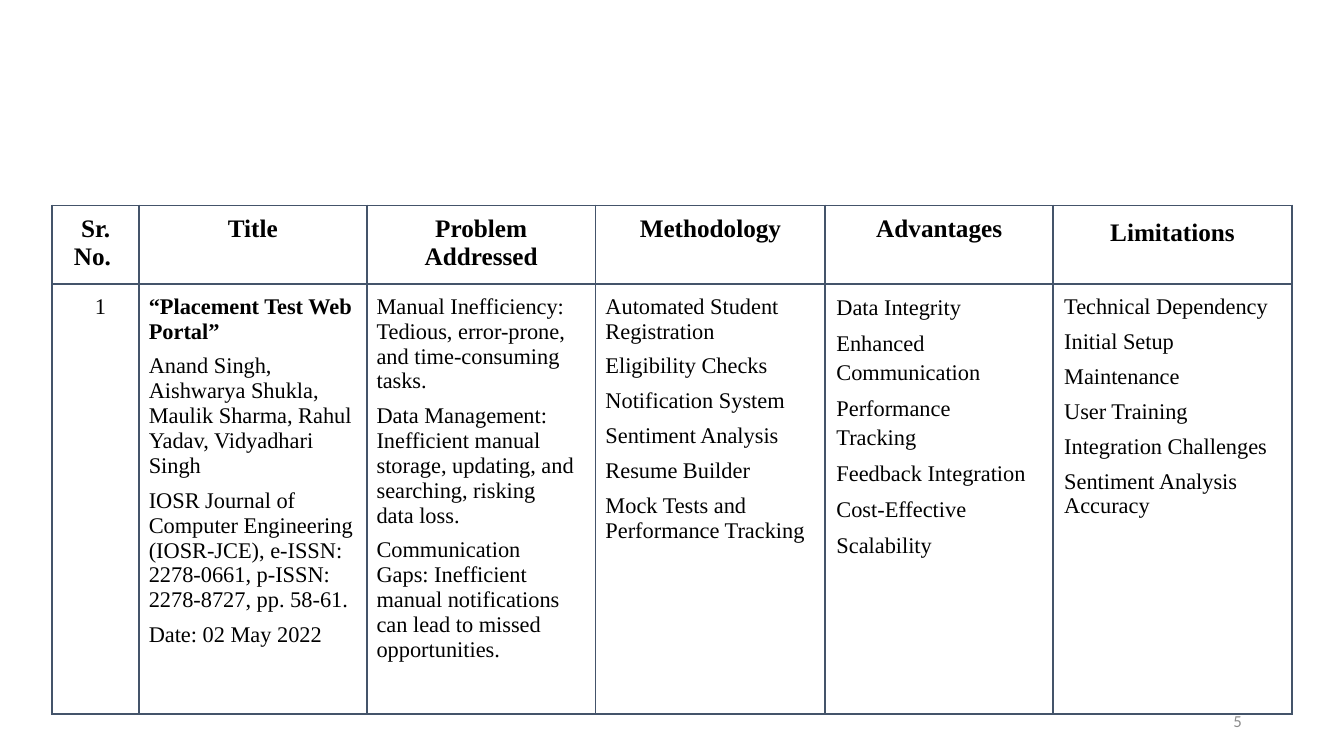
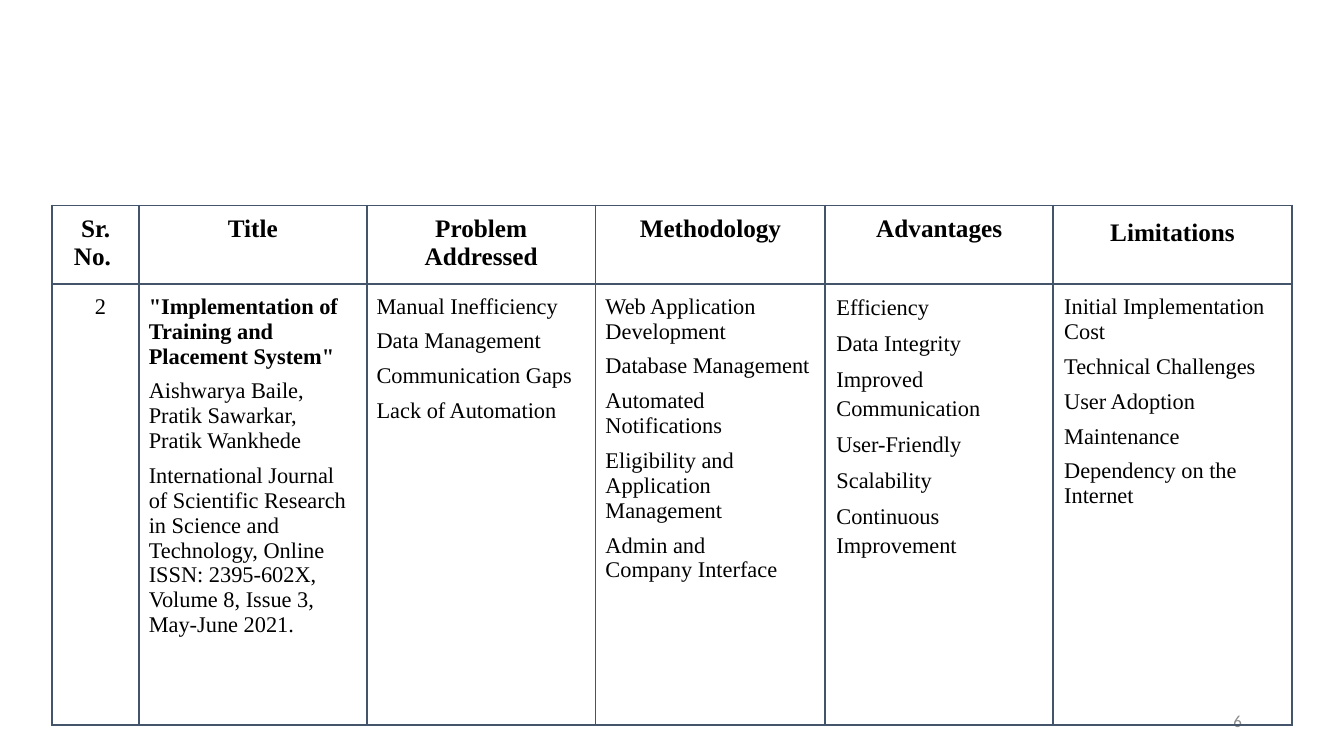
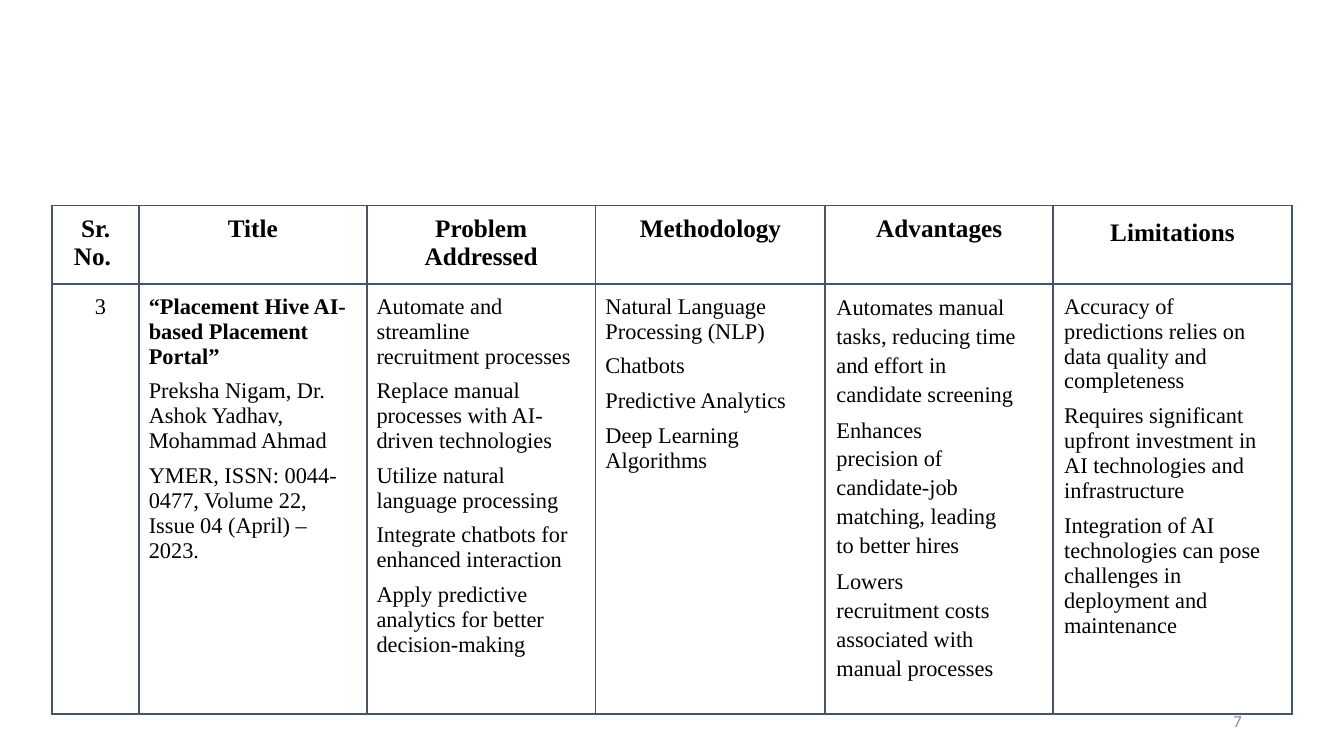
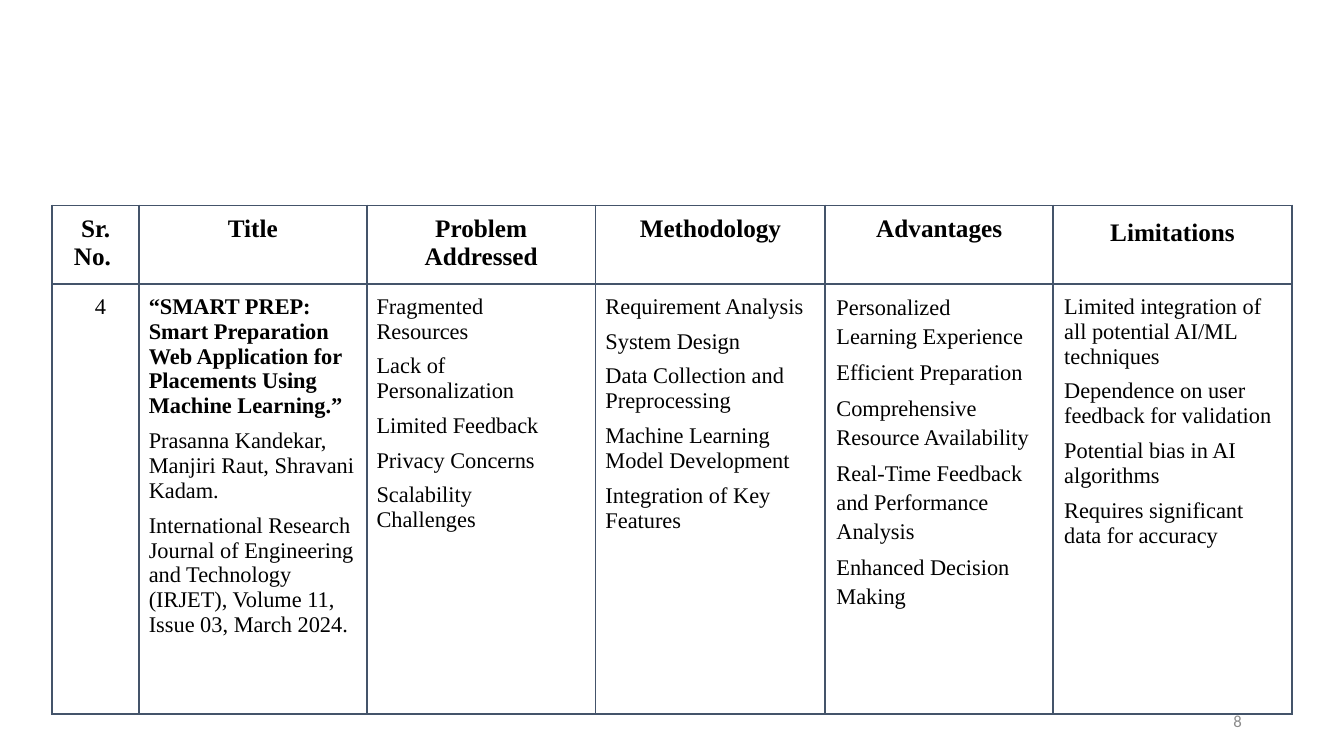
from pptx import Presentation
from pptx.dml.color import RGBColor
from pptx.enum.text import MSO_ANCHOR, PP_ALIGN
from pptx.oxml import parse_xml
from pptx.oxml.ns import nsdecls
from pptx.util import Cm, Pt

INK, PAPER, RULE, GREY = "000000", "FFFFFF", "44546A", "8C8C8C"
SERIF, SANS = "Times New Roman", "Calibri"
FIRST_NUMBER = 5
TABLE_LEFT, TABLE_TOP = 1.32, 5.18
HEADER_HEIGHT, BODY_HEIGHT, TALL_BODY_HEIGHT = 1.9, 10.82, 11.1
HEADER_INSETS = (0.25, 0.23, 0.25, 0.23)
NARROWED = {"Automated Notifications",
            "Enhances precision of candidate-job matching, leading to better hires"}

COLUMNS = [
    dict(heading="Sr. No. ", width=2.18, top=0.25, right=0,
         style=dict(align=PP_ALIGN.CENTER, indent=0.25)),
    dict(heading="Title", width=5.74, top=0.25, right=0.3,
         style=dict(indent=0.25, before=7.1, spacing=1.0, bold_first=True)),
    dict(heading="Problem Addressed", width=5.77, top=0.25, right=0.52,
         style=dict(indent=0.25, before=7, spacing=1.0)),
    dict(heading="Methodology", width=5.79, top=0.25, right=0.3,
         style=dict(indent=0.25, before=7.1)),
    dict(heading="Advantages", width=5.74, top=0.18, right=0.53,
         style=dict(indent=0.28, before=5.2, spacing=1.16)),
    dict(heading="Limitations", width=6.02, top=0.25, right=0.5, heading_spacing=1.15,
         style=dict(indent=0.28, before=7.2, spacing=1.0)),
]

PAPERS = [
    [
        ["“Placement Test Web Portal”",
         "Anand Singh, Aishwarya Shukla, Maulik Sharma, Rahul Yadav, Vidyadhari Singh",
         "IOSR Journal of Computer Engineering (IOSR-JCE), e-ISSN: 2278-0661, "
         "p-ISSN: 2278-8727, pp. 58-61.",
         "Date: 02 May 2022"],
        ["Manual Inefficiency: Tedious, error-prone, and time-consuming tasks.",
         "Data Management: Inefficient manual storage, updating, and searching, "
         "risking data loss.",
         "Communication Gaps: Inefficient manual notifications can lead to missed "
         "opportunities."],
        ["Automated Student Registration", "Eligibility Checks", "Notification System",
         "Sentiment Analysis", "Resume Builder", "Mock Tests and Performance Tracking"],
        ["Data Integrity", "Enhanced Communication", "Performance Tracking",
         "Feedback Integration", "Cost-Effective", "Scalability"],
        ["Technical Dependency", "Initial Setup", "Maintenance", "User Training",
         "Integration Challenges", "Sentiment Analysis Accuracy"],
    ],
    [
        ['"Implementation of Training and Placement System"',
         "Aishwarya Baile, Pratik Sawarkar, Pratik Wankhede",
         "International Journal of Scientific Research in Science and Technology, "
         "Online ISSN: 2395-602X, Volume 8, Issue 3, May-June 2021."],
        ["Manual Inefficiency", "Data Management", "Communication Gaps",
         "Lack of Automation"],
        ["Web Application Development", "Database Management", "Automated Notifications",
         "Eligibility and Application Management", "Admin and Company Interface"],
        ["Efficiency", "Data Integrity", "Improved Communication", "User-Friendly",
         "Scalability", "Continuous Improvement"],
        ["Initial Implementation Cost", "Technical Challenges", "User Adoption",
         "Maintenance", "Dependency on the Internet"],
    ],
    [
        ["“Placement Hive AI-based Placement Portal”",
         "Preksha Nigam, Dr. Ashok Yadhav, Mohammad Ahmad",
         "YMER, ISSN: 0044-0477, Volume 22, Issue 04 (April) – 2023."],
        ["Automate and streamline recruitment processes",
         "Replace manual processes with AI-driven technologies",
         "Utilize natural language processing",
         "Integrate chatbots for enhanced interaction",
         "Apply predictive analytics for better decision-making"],
        ["Natural Language Processing (NLP)", "Chatbots", "Predictive Analytics",
         "Deep Learning Algorithms"],
        ["Automates manual tasks, reducing time and effort in candidate screening",
         "Enhances precision of candidate-job matching, leading to better hires",
         "Lowers recruitment costs associated with manual processes"],
        ["Accuracy of predictions relies on data quality and completeness",
         "Requires significant upfront investment in AI technologies and infrastructure",
         "Integration of AI technologies can pose challenges in deployment and "
         "maintenance"],
    ],
    [
        ["“SMART PREP: Smart Preparation Web Application for Placements Using "
         "Machine Learning.”",
         "Prasanna Kandekar, Manjiri Raut, Shravani Kadam.",
         "International Research Journal of Engineering and Technology (IRJET), "
         "Volume 11, Issue 03, March 2024."],
        ["Fragmented Resources", "Lack of Personalization", "Limited Feedback",
         "Privacy Concerns", "Scalability Challenges"],
        ["Requirement Analysis", "System Design", "Data Collection and Preprocessing",
         "Machine Learning Model Development", "Integration of Key Features"],
        ["Personalized Learning Experience", "Efficient Preparation",
         "Comprehensive Resource Availability",
         "Real-Time Feedback and Performance Analysis", "Enhanced Decision Making"],
        ["Limited integration of all potential AI/ML techniques",
         "Dependence on user feedback for validation",
         "Potential bias in AI algorithms", "Requires significant data for accuracy"],
    ],
]


def color(value):
    return RGBColor.from_string(value)


def write(frame, lines, size=16, font=SERIF, ink=INK, bold=False, bold_first=False,
          align=PP_ALIGN.LEFT, indent=0, before=0, spacing=None):
    for index, line in enumerate(lines):
        paragraph = frame.add_paragraph() if index else frame.paragraphs[0]
        properties = paragraph._p.get_or_add_pPr()
        properties.set("marL", str(Cm(indent)))
        properties.set("indent", "0")
        if line in NARROWED:
            properties.set("marR", str(Cm(0.6)))
        paragraph.alignment = align
        if spacing:
            paragraph.line_spacing = spacing
        if index:
            paragraph.space_before = Pt(before)
        run = paragraph.add_run()
        run.text = line
        run.font.size = Pt(size)
        run.font.name = font
        run.font.bold = bold or (bold_first and index == 0)
        run.font.color.rgb = color(ink)


def format_cell(cell, insets, fill=None):
    margins = [Cm(inset) for inset in insets]
    cell.margin_left, cell.margin_top, cell.margin_right, cell.margin_bottom = margins
    cell.vertical_anchor = MSO_ANCHOR.TOP
    properties = cell._tc.get_or_add_tcPr()
    for side in ("lnL", "lnR", "lnT", "lnB"):
        properties.append(parse_xml(
            f'<a:{side} {nsdecls("a")} w="{Pt(1.5)}"><a:solidFill>'
            f'<a:srgbClr val="{RULE}"/></a:solidFill></a:{side}>'))
    if fill:
        cell.fill.solid()
        cell.fill.fore_color.rgb = color(fill)
    else:
        cell.fill.background()


def add_number(slide, number):
    box = slide.shapes.add_textbox(Cm(23.93), Cm(17.65), Cm(7.62), Cm(1.02))
    box.text_frame.word_wrap = True
    box.text_frame.vertical_anchor = MSO_ANCHOR.MIDDLE
    write(box.text_frame, [str(number)], size=12, font=SANS, ink=GREY,
          align=PP_ALIGN.RIGHT)


def add_review_table(slide, contents, body_height):
    width = sum(column["width"] for column in COLUMNS)
    table = slide.shapes.add_table(
        2, len(COLUMNS), Cm(TABLE_LEFT), Cm(TABLE_TOP), Cm(width),
        Cm(HEADER_HEIGHT + body_height)).table
    table.first_row = table.horz_banding = False
    table.rows[0].height, table.rows[1].height = Cm(HEADER_HEIGHT), Cm(body_height)
    for index, (column, lines) in enumerate(zip(COLUMNS, contents)):
        table.columns[index].width = Cm(column["width"])
        header, body = table.cell(0, index), table.cell(1, index)
        format_cell(header, HEADER_INSETS, PAPER)
        write(header.text_frame, [column["heading"]], size=18, bold=True,
              align=PP_ALIGN.CENTER, spacing=column.get("heading_spacing"))
        format_cell(body, (0, column["top"], column["right"], 0))
        write(body.text_frame, lines, **column["style"])


def main():
    presentation = Presentation()
    presentation.slide_width, presentation.slide_height = Cm(33.87), Cm(19.05)
    for serial, paper in enumerate(PAPERS, 1):
        slide = presentation.slides.add_slide(presentation.slide_layouts[6])
        add_number(slide, FIRST_NUMBER + serial - 1)
        add_review_table(slide, [[str(serial)], *paper],
                         TALL_BODY_HEIGHT if serial == 2 else BODY_HEIGHT)
    presentation.save("out.pptx")


if __name__ == "__main__":
    main()
